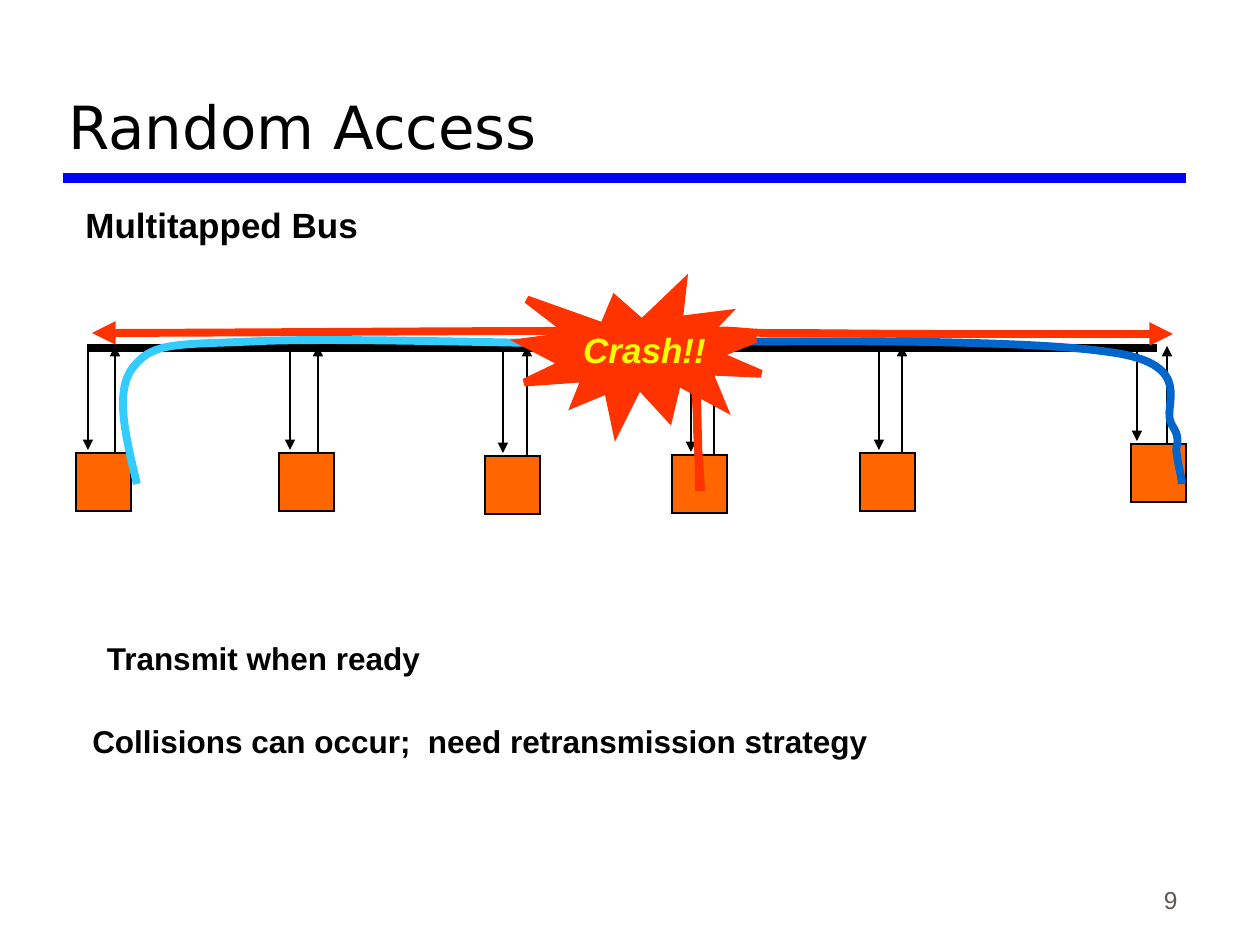
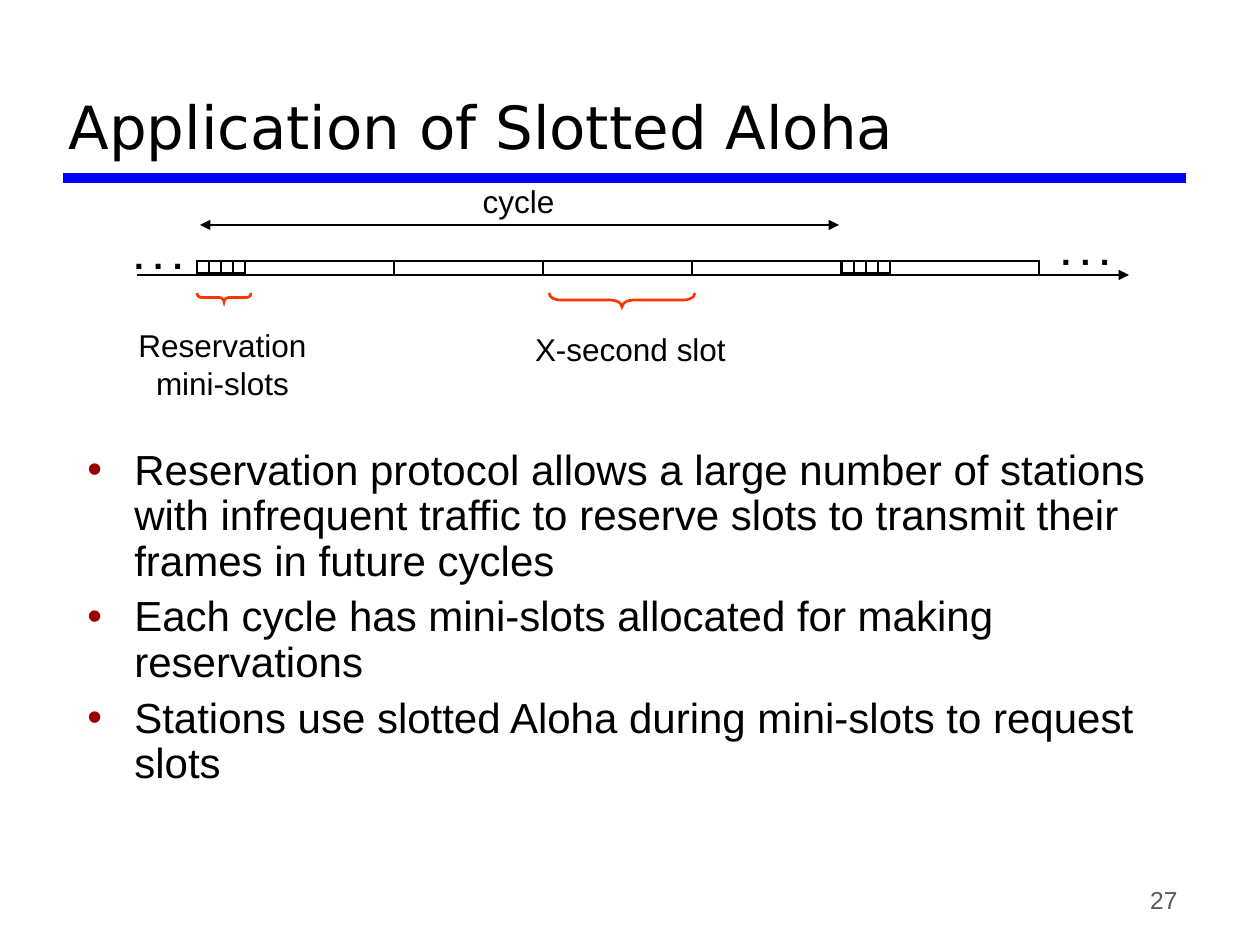
import dataclasses

import lxml.etree
import pptx
import pptx.dml.color
import pptx.enum.shapes
import pptx.enum.text
import pptx.oxml.ns
import pptx.util

SCALE = 914400 / 126
SHAPES = pptx.enum.shapes.MSO_SHAPE
ALIGN = pptx.enum.text.PP_ALIGN
ANCHOR = pptx.enum.text.MSO_ANCHOR
qn = pptx.oxml.ns.qn


@dataclasses.dataclass(frozen=True)
class Theme:
    """Colours, fonts and sizes shared by the slides."""
    ink: str = "000000"
    rule: str = "0000FF"
    number: str = "5E574E"
    station: str = "FF6600"
    signal: str = "FF3300"
    left_signal: str = "33CCFF"
    right_signal: str = "0066CC"
    shout: str = "FFFF00"
    bullet: str = "990000"
    title_font: str = "DejaVu Sans"
    body_font: str = "Arial"
    title_size: int = 34
    body_size: int = 24
    heading_size: int = 20
    label_size: int = 18
    number_size: int = 14
    rule_width: float = 6
    signal_width: float = 4.5
    slot_width: float = 1.5
    thin_width: float = 1


THEME = Theme()


def px(*lengths):
    """Turn px lengths into a list of EMU."""
    return [pptx.util.Emu(round(length * SCALE)) for length in lengths]


def rgb(code):
    """Return the colour for a hex code."""
    return pptx.dml.color.RGBColor.from_string(code)


def style_line(shape, color, width, head=False, tail=False):
    """Set colour, width, sharp corners and arrowheads of a line."""
    shape.line.color.rgb = rgb(color)
    shape.line.width = pptx.util.Pt(width)
    outline = shape.element.spPr.find(qn("a:ln"))
    lxml.etree.SubElement(outline, qn("a:miter"), lim="800000")
    for tag, wanted in (("a:headEnd", head), ("a:tailEnd", tail)):
        if wanted:
            lxml.etree.SubElement(outline, qn(tag), type="triangle")


def add_line(page, start, end, color=THEME.ink, width=THEME.thin_width, **arrows):
    """Draw a straight connector without shadow."""
    line = page.shapes.add_connector(
        pptx.enum.shapes.MSO_CONNECTOR.STRAIGHT, *px(*start, *end))
    style_line(line, color, width, **arrows)
    lxml.etree.SubElement(line.element.spPr, qn("a:effectLst"))
    return line


def add_shape(page, kind, area, fill=None, color=THEME.ink, width=THEME.thin_width):
    """Draw a preset shape, hollow unless a fill is given."""
    shape = page.shapes.add_shape(kind, *px(*area))
    shape.shadow.inherit = False
    if fill:
        shape.fill.solid()
        shape.fill.fore_color.rgb = rgb(fill)
    else:
        shape.fill.background()
    style_line(shape, color, width)
    return shape


def add_curve(page, start, *segments, color):
    """Draw an arrow along joined cubic Bezier segments."""
    builder = page.shapes.build_freeform(*px(*start))
    builder.add_line_segments(
        [px(*point) for segment in segments for point in segment], close=False)
    curve = builder.convert_to_shape()
    corners = list(curve.element.spPr.iter(qn("a:lnTo")))
    for index in range(0, len(corners), 3):
        bezier = lxml.etree.Element(qn("a:cubicBezTo"))
        corners[index].addprevious(bezier)
        for corner in corners[index:index + 3]:
            bezier.append(corner[0])
            corner.getparent().remove(corner)
    curve.shadow.inherit = False
    curve.fill.background()
    style_line(curve, color, THEME.signal_width, tail=True)


def write(frame, *texts, size, font=THEME.body_font, color=THEME.ink, bold=False,
          italic=False, align=ALIGN.LEFT, anchor=ANCHOR.TOP, wrap=False, bullet=None):
    """Fill a text frame with one formatted paragraph per text."""
    frame.word_wrap = wrap
    frame.auto_size = pptx.enum.text.MSO_AUTO_SIZE.NONE
    frame.vertical_anchor = anchor
    for index, text in enumerate(texts):
        para = frame.add_paragraph() if index else frame.paragraphs[0]
        para.text = text
        para.alignment = align
        if bullet:
            add_bullet(para, bullet)
            para.line_spacing = 0.9
            para.space_before = pptx.util.Pt(6 if index else 0)
        para.font.name = font
        para.font.size = pptx.util.Pt(size)
        para.font.color.rgb = rgb(color)
        para.font.bold = bold
        para.font.italic = italic


def add_bullet(para, color):
    """Give a paragraph a coloured bullet and hanging indent."""
    properties = para._p.get_or_add_pPr()
    indent = px(47)[0]
    properties.set("marL", str(indent))
    properties.set("indent", str(-indent))
    tint = lxml.etree.SubElement(properties, qn("a:buClr"))
    lxml.etree.SubElement(tint, qn("a:srgbClr"), val=color)
    lxml.etree.SubElement(properties, qn("a:buFont"), typeface=THEME.body_font)
    lxml.etree.SubElement(properties, qn("a:buChar"), char="•")


def add_text(page, area, *texts, size=THEME.label_size, align=ALIGN.CENTER, **style):
    """Place a text box."""
    box = page.shapes.add_textbox(*px(*area))
    write(box.text_frame, *texts, size=size, align=align, **style)


def add_page(deck, title, number):
    """Add a slide with title, rule and page number."""
    page = deck.slides.add_slide(deck.slide_layouts[5])
    add_line(page, (63, 178), (1186, 178), THEME.rule, THEME.rule_width)
    add_text(page, (928, 858, 262, 63), number, size=THEME.number_size,
             color=THEME.number, align=ALIGN.RIGHT, anchor=ANCHOR.BOTTOM, wrap=True)
    heading = page.shapes.title
    heading.left, heading.top, heading.width, heading.height = px(56, 21, 1130, 147)
    write(heading.text_frame, title, size=THEME.title_size, font=THEME.title_font,
          anchor=ANCHOR.BOTTOM, wrap=True)
    return page


def add_station(page, left, top, down, up):
    """Draw a station with its receive and send taps."""
    add_shape(page, SHAPES.RECTANGLE, (left, top, 55, 58), fill=THEME.station)
    add_line(page, (down, 352), (down, top - 3), tail=True)
    add_line(page, (up, top), (up, 346), tail=True)


def add_brace(page, center, top, span, depth, bend):
    """Draw a brace whose tip points down."""
    area = (center - depth / 2, top + depth / 2 - span / 2, depth, span)
    brace = add_shape(page, SHAPES.LEFT_BRACE, area, color=THEME.signal,
                      width=THEME.slot_width)
    brace.rotation = 270
    brace.adjustments[0] = bend


def add_slots(page, left, slots, mini=12, slot=149):
    """Draw four mini-slots followed by a number of slots."""
    for index in range(4):
        add_shape(page, SHAPES.RECTANGLE, (left + index * mini, 261, mini, 12),
                  width=THEME.slot_width)
    for index in range(slots):
        add_shape(page, SHAPES.RECTANGLE, (left + 4 * mini + index * slot, 261, slot, 14),
                  width=THEME.slot_width)


def build_random_access(deck):
    """Build the slide on collisions on a shared bus."""
    page = add_page(deck, "Random Access", "9")
    add_line(page, (87, 348), (1157, 348), width=THEME.signal_width)
    stations = ((76, 453, 88, 115), (279, 453, 290, 318), (485, 456, 503, 527),
                (672, 455, 691, 714), (860, 453, 879, 902), (1131, 444, 1137, 1167))
    for station in stations:
        add_station(page, *station)
    add_text(page, (73, 197, 353, 54), "Multitapped Bus", size=THEME.heading_size,
             bold=True, align=ALIGN.LEFT)
    add_curve(page, (699, 491),
              ((699, 472), (697, 406), (697, 379)),
              ((696, 353), (716, 340), (694, 333)),
              ((672, 325), (667, 331), (566, 331)),
              ((466, 331), (192, 333), (92, 333)), color=THEME.signal)
    add_curve(page, (701, 491),
              ((701, 475), (697, 447), (697, 422)),
              ((697, 397), (689, 353), (702, 339)),
              ((716, 324), (736, 334), (776, 333)),
              ((816, 333), (877, 334), (942, 334)),
              ((1009, 334), (1125, 334), (1173, 334)), color=THEME.signal)
    add_curve(page, (137, 484),
              ((126, 437), (113, 389), (135, 365)),
              ((155, 341), (181, 345), (261, 341)),
              ((339, 338), (548, 344), (606, 344)), color=THEME.left_signal)
    add_curve(page, (1182, 484),
              ((1182, 479), (1178, 464), (1177, 455)),
              ((1174, 445), (1183, 442), (1172, 425)),
              ((1160, 407), (1200, 364), (1109, 352)),
              ((1018, 338), (704, 341), (630, 344)), color=THEME.right_signal)
    add_shape(page, SHAPES.EXPLOSION1, (523, 284, 238, 146), fill=THEME.signal,
              color=THEME.signal, width=THEME.signal_width)
    add_text(page, (571, 322, 147, 55), "Crash!!", size=THEME.heading_size,
             color=THEME.shout, bold=True, italic=True)
    add_text(page, (93, 633, 341, 50), "Transmit when ready", bold=True)
    add_text(page, (80, 716, 800, 50),
             "Collisions can occur;  need retransmission strategy", bold=True)


def build_slotted_aloha(deck):
    """Build the slide on reservation cycles."""
    page = add_page(deck, "Application of Slotted Aloha", "27")
    add_text(page, (75, 443, 1134, 417),
             "Reservation protocol allows a large number of stations with infrequent "
             "traffic to reserve slots to transmit their frames in future cycles",
             "Each cycle has mini-slots allocated for making reservations",
             "Stations use slotted Aloha during mini-slots to request slots",
             size=THEME.body_size, align=ALIGN.LEFT, wrap=True, bullet=THEME.bullet)
    add_line(page, (137, 275), (1129, 275), width=THEME.slot_width, tail=True)
    add_slots(page, 197, 4)
    add_slots(page, 842, 1)
    add_line(page, (200, 225), (839, 225), width=THEME.slot_width, head=True, tail=True)
    add_text(page, (470, 176, 97, 50), "cycle")
    add_brace(page, 622, 293, 146, 14, 0.83)
    add_brace(page, 224, 293, 54, 9, 0.5)
    add_text(page, (523, 324, 215, 50), "X-second slot")
    add_text(page, (98, 320, 249, 88), "Reservation mini-slots", wrap=True)
    for left, top in ((1049, 224), (122, 228)):
        add_text(page, (left, top, 73, 55), ". . .", size=THEME.heading_size, bold=True)


def main():
    """Build and save the deck."""
    deck = pptx.Presentation()
    deck.slide_width, deck.slide_height = px(1260, 945)
    build_random_access(deck)
    build_slotted_aloha(deck)
    deck.save("out.pptx")


if __name__ == "__main__":
    main()
